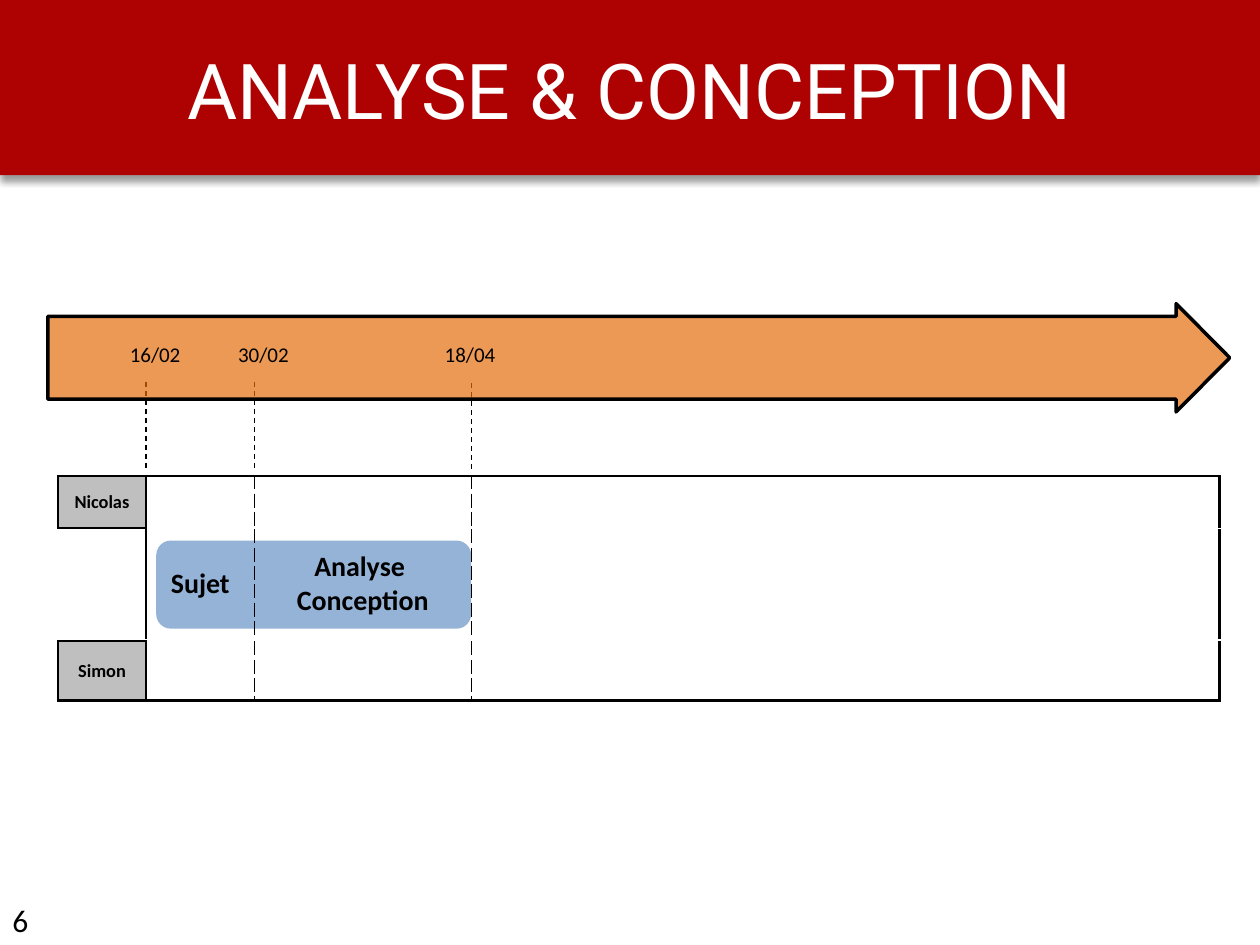
"""Build the analysis and design timeline slide."""
import pptx
import pptx.dml.color
import pptx.enum.dml
import pptx.enum.shapes
import pptx.enum.text
import pptx.oxml
import pptx.oxml.ns
import pptx.util

Inches, Pt = pptx.util.Inches, pptx.util.Pt
RGBColor = pptx.dml.color.RGBColor
SHAPE = pptx.enum.shapes.MSO_SHAPE
ALIGN = pptx.enum.text.PP_ALIGN
ANCHOR = pptx.enum.text.MSO_ANCHOR

RED = RGBColor(0xAE, 0x02, 0x02)
BLUE = RGBColor(0x95, 0xB3, 0xD7)
ORANGE = RGBColor(0xE4, 0x6C, 0x0A)
GREY = RGBColor(0xBF, 0xBF, 0xBF)
BLACK = RGBColor(0, 0, 0)
WHITE = RGBColor(0xFF, 0xFF, 0xFF)

TITLE = "ANALYSE & CONCEPTION"
PAGE = "6"
DATES = {1: ["16/02"], 2: ["30/02"], 3: ["18/04"]}
PHASES = {1: ["Sujet"], 2: ["Analyse ", "Conception"]}
DATE_COLUMNS = [0.39, 0.86, 1.64, 0.63, 1.09, 0.8, 1.14, 1.43, 0.78]
LANE_COLUMNS = [0.7, 0.86, 1.72, 0.47, 1.09, 0.96, 0.98, 1.52, 0.92]
LANE_LEFT = 0.46
LANES = [
    (3.78, 0.41, {0: ["Nicolas"]}, 10.5, "T"),
    (5.09, 0.47, {0: ["Simon"]}, 10.5, "B"),
    (4.2, 0.87, PHASES, 16, ""),
]
SOLID, DASHED = (1.5, "solid"), (0.5, "dash")
DIVIDERS = {0: SOLID, 1: DASHED, 2: DASHED, len(LANE_COLUMNS) - 1: SOLID}
MARKERS = [(1.16, 3.03), (2.02, 3.03), (3.74, 3.04)]
MARKER_END = 3.74


def xml(tag, body="", attributes=""):
    namespace = pptx.oxml.ns.nsdecls("a")
    return pptx.oxml.parse_xml(f"<a:{tag} {namespace} {attributes}>{body}</a:{tag}>")


def write(frame, lines, size, color=BLACK, font="Calibri", bold=False, align=ALIGN.LEFT):
    for index, line in enumerate(lines):
        paragraph = frame.add_paragraph() if index else frame.paragraphs[0]
        paragraph.alignment = align
        run = paragraph.add_run()
        run.text = line
        run.font.name, run.font.size, run.font.bold = font, Pt(size), bold
        run.font.color.rgb = color


def add_block(slide, preset, box, color):
    block = slide.shapes.add_shape(preset, *map(Inches, box))
    block.shadow.inherit = False
    block.fill.solid()
    block.fill.fore_color.rgb = color
    block.line.fill.background()
    return block


def set_borders(cell, borders):
    properties = cell._tc.get_or_add_tcPr()
    for position, side in enumerate("LRTB"):
        if side in borders:
            width, dash = borders[side]
            body = f'<a:solidFill><a:srgbClr val="{BLACK}"/></a:solidFill><a:prstDash val="{dash}"/>'
            border = xml(f"ln{side}", body, f'w="{Pt(width)}"')
        else:
            border = xml(f"ln{side}", "<a:noFill/>", 'w="0"')
        properties.insert(position, border)


def lane_borders(column, is_label, edge):
    if is_label:
        return dict.fromkeys("LRTB", SOLID)
    borders = {side: SOLID for side in edge}
    for side, divider in (("L", column - 1), ("R", column)):
        if divider in DIVIDERS:
            borders[side] = DIVIDERS[divider]
    return borders


def add_strip(slide, left, top, height, columns, texts, size, anchor, edge=None):
    is_lane = edge is not None
    box = map(Inches, (left, top, sum(columns), height))
    strip = slide.shapes.add_table(1, len(columns), *box).table
    strip.first_row = strip.horz_banding = False
    for column, width in enumerate(columns):
        strip.columns[column].width = Inches(width)
        cell = strip.cell(0, column)
        cell.vertical_anchor = anchor
        is_label = bool(edge) and column == 0
        if is_label:
            cell.fill.solid()
            cell.fill.fore_color.rgb = GREY
        else:
            cell.fill.background()
        set_borders(cell, lane_borders(column, is_label, edge) if is_lane else {})
        write(cell.text_frame, texts.get(column, []), size, bold=is_lane,
              align=ALIGN.CENTER if is_lane else ALIGN.LEFT)


def main():
    deck = pptx.Presentation()
    deck.slide_width, deck.slide_height = Inches(10), Inches(7.5)
    slide = deck.slides.add_slide(deck.slide_layouts[5])

    banner = add_block(slide, SHAPE.RECTANGLE, (0, 0, 10, 1.39), RED)
    shadow = xml("outerShdw", '<a:srgbClr val="000000"><a:alpha val="40000"/></a:srgbClr>',
                 f'blurRad="{Pt(4)}" dist="{Pt(3)}" dir="5400000" rotWithShape="0"')
    banner._element.spPr.find(pptx.oxml.ns.qn("a:effectLst")).append(shadow)

    title = slide.shapes.title
    title.left, title.top, title.width, title.height = map(Inches, (0.96, 0.28, 8.08, 0.84))
    title.text_frame.auto_size = pptx.enum.text.MSO_AUTO_SIZE.NONE
    title.text_frame.vertical_anchor = ANCHOR.MIDDLE
    write(title.text_frame, [TITLE], 44, WHITE, "Roboto", align=ALIGN.CENTER)
    banner._element.addnext(title._element)

    add_block(slide, SHAPE.ROUNDED_RECTANGLE, (1.24, 4.29, 2.5, 0.7), BLUE)

    for x, top in MARKERS:
        marker = slide.shapes.add_connector(
            pptx.enum.shapes.MSO_CONNECTOR.STRAIGHT, *map(Inches, (x, top, x, MARKER_END)))
        marker.line.color.rgb = BLACK
        marker.line.width = Pt(0.75)
        marker.line.dash_style = pptx.enum.dml.MSO_LINE.DASH
        marker._element.spPr.append(xml("effectLst"))

    timeline = add_block(slide, SHAPE.RIGHT_ARROW, (0.38, 2.41, 9.38, 0.86), ORANGE)
    timeline.adjustments[0], timeline.adjustments[1] = 0.765, 0.495
    timeline.line.color.rgb = BLACK
    timeline.line.width = Pt(2)
    fill = timeline._element.spPr.find(pptx.oxml.ns.qn("a:solidFill"))
    fill[0].append(xml("alpha", attributes='val="69000"'))

    add_strip(slide, 0.54, 2.49, 0.48, DATE_COLUMNS, DATES, 12, ANCHOR.BOTTOM)
    for top, height, texts, size, edge in LANES:
        add_strip(slide, LANE_LEFT, top, height, LANE_COLUMNS, texts, size, ANCHOR.MIDDLE, edge)

    page = slide.shapes.add_textbox(*map(Inches, (0, 7.1, 1.05, 0.4))).text_frame
    page.word_wrap = True
    write(page, [PAGE], 18)

    deck.save("out.pptx")


if __name__ == "__main__":
    main()
